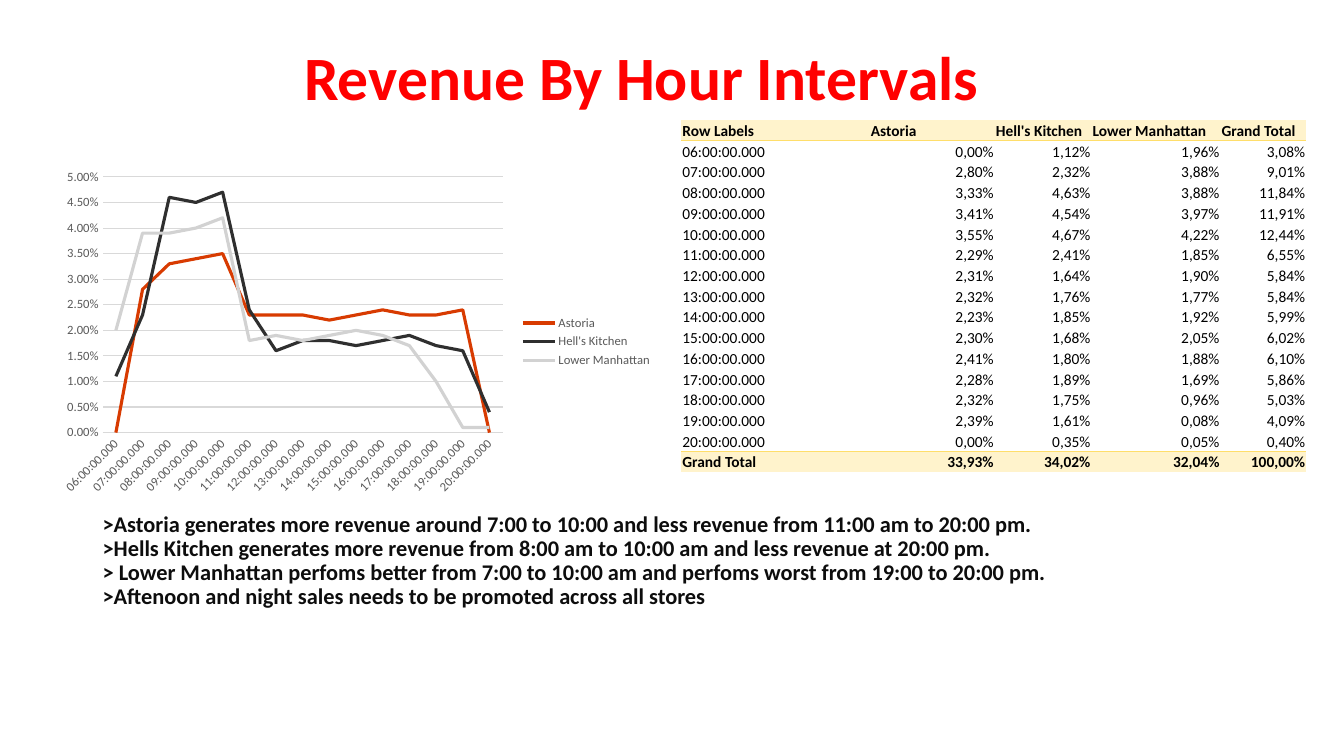
from lxml import etree
from pptx import Presentation
from pptx.chart.data import CategoryChartData
from pptx.dml.color import RGBColor
from pptx.enum.chart import XL_CHART_TYPE, XL_LEGEND_POSITION, XL_TICK_MARK
from pptx.enum.text import MSO_ANCHOR, PP_ALIGN
from pptx.oxml import parse_xml
from pptx.oxml.ns import nsdecls, qn
from pptx.util import Inches, Pt

LINE_CHART = XL_CHART_TYPE.LINE
LEGEND_RIGHT = XL_LEGEND_POSITION.RIGHT
NO_TICK = XL_TICK_MARK.NONE
MIDDLE, BOTTOM, TOP = MSO_ANCHOR.MIDDLE, MSO_ANCHOR.BOTTOM, MSO_ANCHOR.TOP
LEFT, RIGHT = PP_ALIGN.LEFT, PP_ALIGN.RIGHT

FONT = "Calibri"
RED = RGBColor(0xFF, 0x00, 0x00)
INK = RGBColor(0x0D, 0x0D, 0x0D)
BLACK = RGBColor(0x00, 0x00, 0x00)
GREY = RGBColor(0x59, 0x59, 0x59)
GRID = RGBColor(0xD9, 0xD9, 0xD9)
CREAM = RGBColor(0xFF, 0xF3, 0xCC)
GOLD = RGBColor(0xFF, 0xDE, 0x6A)
SERIES_COLORS = [RGBColor(0xD8, 0x3B, 0x01), RGBColor(0x2F, 0x2F, 0x2F),
                 RGBColor(0xD2, 0xD2, 0xD2)]
NO_STYLE = "{2D5ABB26-0587-4C30-8999-92F81FD0307C}"

HEADER = ["Row Labels", "Astoria", "Hell's Kitchen", "Lower Manhattan", "Grand Total"]
HOURS = [f"{hour:02d}:00:00.000" for hour in range(6, 21)]
SHARES = [
    ["0,00%", "1,12%", "1,96%", "3,08%"],
    ["2,80%", "2,32%", "3,88%", "9,01%"],
    ["3,33%", "4,63%", "3,88%", "11,84%"],
    ["3,41%", "4,54%", "3,97%", "11,91%"],
    ["3,55%", "4,67%", "4,22%", "12,44%"],
    ["2,29%", "2,41%", "1,85%", "6,55%"],
    ["2,31%", "1,64%", "1,90%", "5,84%"],
    ["2,32%", "1,76%", "1,77%", "5,84%"],
    ["2,23%", "1,85%", "1,92%", "5,99%"],
    ["2,30%", "1,68%", "2,05%", "6,02%"],
    ["2,41%", "1,80%", "1,88%", "6,10%"],
    ["2,28%", "1,89%", "1,69%", "5,86%"],
    ["2,32%", "1,75%", "0,96%", "5,03%"],
    ["2,39%", "1,61%", "0,08%", "4,09%"],
    ["0,00%", "0,35%", "0,05%", "0,40%"],
]
TOTALS = ["Grand Total", "33,93%", "34,02%", "32,04%", "100,00%"]
COLUMN_WIDTHS = [1.87, 1.24, 0.96, 1.28, 0.85]
STORE_SHARES = {
    "Astoria": [0, 0.028, 0.033, 0.034, 0.035, 0.023, 0.023, 0.023,
                0.022, 0.023, 0.024, 0.023, 0.023, 0.024, 0],
    "Hell's Kitchen": [0.011, 0.023, 0.046, 0.045, 0.047, 0.024, 0.016, 0.018,
                       0.018, 0.017, 0.018, 0.019, 0.017, 0.016, 0.004],
    "Lower Manhattan": [0.02, 0.039, 0.039, 0.04, 0.042, 0.018, 0.019, 0.018,
                        0.019, 0.02, 0.019, 0.017, 0.01, 0.001, 0.001],
}
FINDINGS = [
    ">Astoria generates more revenue around 7:00 to 10:00 and less revenue from 11:00 am to 20:00 pm.",
    ">Hells Kitchen generates more revenue from 8:00 am to 10:00 am and less revenue at 20:00 pm.",
    "> Lower Manhattan perfoms better from 7:00 to 10:00 am and perfoms worst from 19:00 to 20:00 pm.",
    ">Aftenoon and night sales needs to be promoted across all stores",
]


def style_font(font, size, color, bold=False):
    """Apply the slide's typeface with a size, colour and weight."""
    font.name, font.size, font.bold = FONT, Pt(size), bold
    font.color.rgb = color


def add_text(page, box, lines, size, color, anchor=TOP):
    """Place a bold text box with one paragraph per line."""
    frame = page.shapes.add_textbox(*map(Inches, box)).text_frame
    frame.word_wrap = True
    frame.vertical_anchor = anchor
    for index, line in enumerate(lines):
        para = frame.add_paragraph() if index else frame.paragraphs[0]
        para.line_spacing = 0.9
        span = para.add_run()
        span.text = line
        style_font(span.font, size, color, bold=True)


def place_plot(chart, left, top, width, height):
    """Fix the inner plot area as fractions of the chart."""
    area = chart.plots[0]._element.getparent()
    for old in area.findall(qn("c:layout")):
        area.remove(old)
    layout = parse_xml(f"<c:layout {nsdecls('c')}><c:manualLayout/></c:layout>")
    settings = {"layoutTarget": "inner", "xMode": "edge", "yMode": "edge",
                "x": left, "y": top, "w": width, "h": height}
    for name, value in settings.items():
        etree.SubElement(layout[0], qn(f"c:{name}")).set("val", str(value))
    area.insert(0, layout)


def add_revenue_chart(page, box):
    """Draw each store's hourly share of revenue as lines."""
    data = CategoryChartData(number_format="0.00%")
    data.categories = HOURS
    for store, values in STORE_SHARES.items():
        data.add_series(store, values)
    chart = page.shapes.add_chart(LINE_CHART, *map(Inches, box), data).chart
    style_font(chart.font, 10, BLACK)
    chart.has_title = False
    chart.has_legend = True
    chart.legend.position = LEGEND_RIGHT
    chart.legend.include_in_layout = False
    style_font(chart.legend.font, 9, GREY)
    chart.plots[0].vary_by_categories = False
    for series, color in zip(chart.plots[0].series, SERIES_COLORS):
        series.smooth = False
        series.format.line.color.rgb = color
        series.format.line.width = Pt(2.25)

    hours, shares = chart.category_axis, chart.value_axis
    for axis in (hours, shares):
        axis.major_tick_mark = axis.minor_tick_mark = NO_TICK
        style_font(axis.tick_labels.font, 9, GREY)
    hours._element.find(qn("c:txPr")).find(qn("a:bodyPr")).set("rot", "-2700000")
    shares.minimum_scale, shares.maximum_scale, shares.major_unit = 0, 0.05, 0.005
    shares.tick_labels.number_format = "0.00%"
    shares.tick_labels.number_format_is_linked = False
    shares.format.line.fill.background()
    for line in (hours.format.line, shares.major_gridlines.format.line):
        line.color.rgb = GRID
        line.width = Pt(0.75)
    place_plot(chart, 0.073, 0.022, 0.663, 0.742)


def add_bottom_border(cell):
    """Put a thin gold line under a cell."""
    line = parse_xml(
        f'<a:lnB {nsdecls("a")} w="6350"><a:solidFill>'
        f'<a:srgbClr val="{GOLD}"/></a:solidFill></a:lnB>')
    cell._tc.get_or_add_tcPr().insert(0, line)


def add_share_table(page, box):
    """Build the table of hourly shares with a highlighted header and total."""
    body = [[hour, *shares] for hour, shares in zip(HOURS, SHARES)]
    rows = [HEADER, *body, TOTALS, [""] * len(HEADER)]
    total_row = len(rows) - 2
    table = page.shapes.add_table(len(rows), len(HEADER), *map(Inches, box)).table
    table.first_row = table.horz_banding = False
    table._tbl.tblPr.find(qn("a:tableStyleId")).text = NO_STYLE
    for column, width in zip(table.columns, COLUMN_WIDTHS):
        column.width = Inches(width)
    for r, labels in enumerate(rows):
        table.rows[r].height = Inches(box[3] / len(rows))
        strong = r in (0, total_row)
        for c, label in enumerate(labels):
            cell = table.cell(r, c)
            cell.margin_left = cell.margin_right = cell.margin_top = Inches(0.01)
            cell.margin_bottom = 0
            cell.vertical_anchor = BOTTOM
            if strong:
                cell.fill.solid()
                cell.fill.fore_color.rgb = CREAM
            else:
                cell.fill.background()
            if r in (0, total_row - 1):
                add_bottom_border(cell)
            para = cell.text_frame.paragraphs[0]
            para.alignment = RIGHT if r and c else LEFT
            para.text = label
            style_font(para.font, 11, BLACK, strong)


def main():
    """Assemble the slide and save it."""
    deck = Presentation()
    deck.slide_width, deck.slide_height = Inches(40 / 3), Inches(7.5)
    page = deck.slides.add_slide(deck.slide_layouts[6])
    add_text(page, (2.92, 0.42, 7.2, 0.76), ["Revenue By Hour Intervals"],
             size=44, color=RED, anchor=MIDDLE)
    add_revenue_chart(page, (0.58, 1.68, 5.99, 3.42))
    add_share_table(page, (6.76, 1.19, 6.2, 3.7))
    add_text(page, (0.92, 5.04, 11.5, 1.1), FINDINGS, size=16, color=INK)
    deck.save("out.pptx")


if __name__ == "__main__":
    main()
